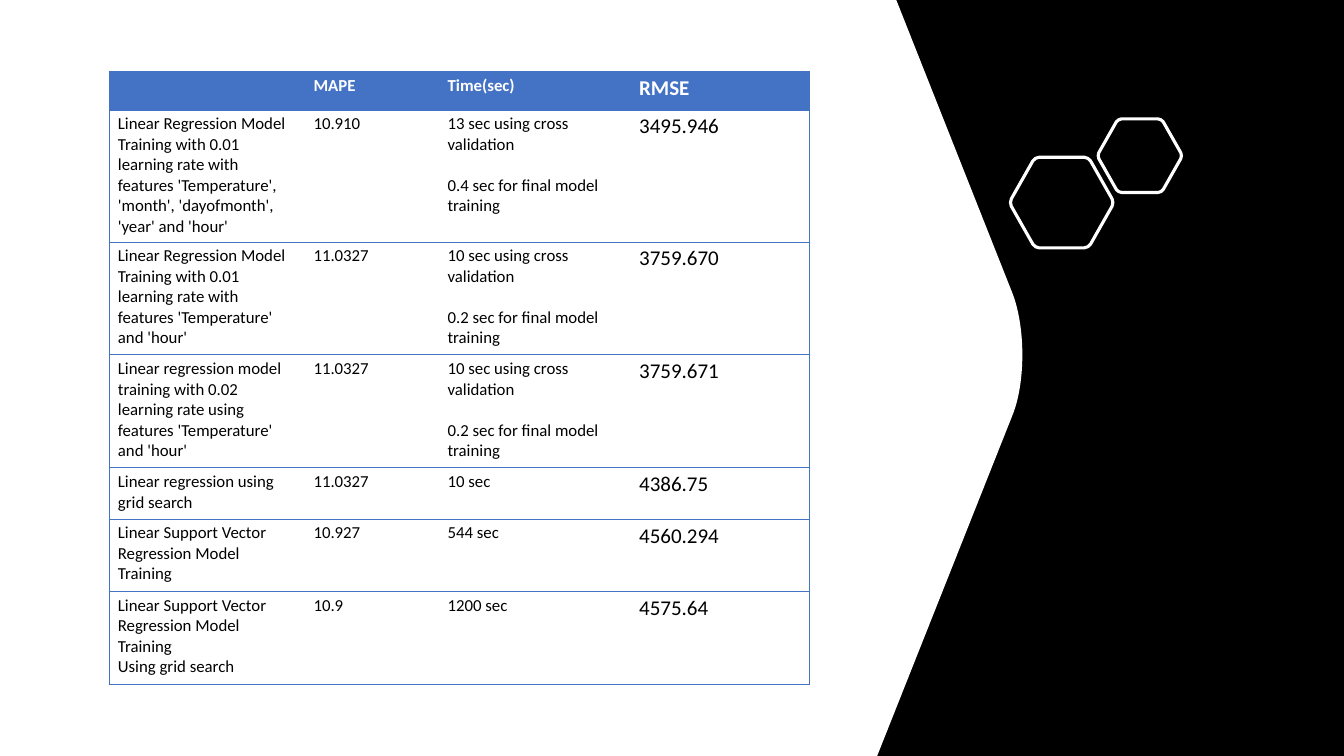
from lxml import etree
from pptx import Presentation
from pptx.dml.color import RGBColor
from pptx.enum.shapes import MSO_SHAPE
from pptx.oxml.ns import qn
from pptx.util import Inches, Pt

RECTANGLE = MSO_SHAPE.RECTANGLE
BLACK, WHITE, BLUE = "000000", "FFFFFF", "4472C4"


def color(hex_value):
    return RGBColor.from_string(hex_value)


def add_outline(shapes, segments):
    """Draw a closed outline; a segment is one end point, or two controls and an end."""
    points = [(Inches(x), Inches(y)) for segment in segments for x, y in segment]
    builder = shapes.build_freeform(*points[0])
    builder.add_line_segments(points[1:])
    shape = builder.convert_to_shape()
    shape.shadow.inherit = False
    lines = shape._element.iter(qn("a:lnTo"))
    lines = list(lines)
    position = 0
    for segment in segments[1:]:
        if len(segment) == 3:
            bezier = etree.Element(qn("a:cubicBezTo"))
            lines[position].addprevious(bezier)
            for line in lines[position:position + 3]:
                bezier.append(line[0])
                line.getparent().remove(line)
        position += len(segment)
    return shape


presentation = Presentation()
presentation.slide_width = Inches(13.33)
presentation.slide_height = Inches(7.5)
slide = presentation.slides.add_slide(presentation.slide_layouts[6])

# Black backdrop with a white panel that bulges to the right
backdrop = slide.shapes.add_shape(RECTANGLE, 0, 0, Inches(13.33), Inches(7.5))
backdrop.shadow.inherit = False
backdrop.fill.solid()
backdrop.fill.fore_color.rgb = color(BLACK)
backdrop.line.fill.background()

panel = add_outline(slide.shapes, [
    [(0, 0)], [(8.89, 0)], [(10.05, 2.93)],
    [(10.11, 3.1), (10.14, 3.31), (10.14, 3.52)],
    [(10.14, 3.73), (10.11, 3.94), (10.05, 4.1)],
    [(8.7, 7.5)], [(0, 7.5)]])
panel.fill.solid()
panel.fill.fore_color.rgb = color(WHITE)
panel.line.fill.background()

# Two hexagon outlines with rounded corners, from corners in a unit box
corners = [(-0.01, 0.5), (0.24, 0), (0.76, 0), (1.01, 0.5), (0.76, 1), (0.24, 1)]
rounding = 0.08
hexagons = slide.shapes.add_group_shape()
for left, top, width, height in [(10.02, 1.56, 1.02, 0.9), (10.89, 1.18, 0.83, 0.73)]:
    segments = []
    for index, corner in enumerate(corners):
        before, after = corners[index - 1], corners[(index + 1) % len(corners)]
        steps = [(before, rounding), (before, rounding / 2),
                 (after, rounding / 2), (after, rounding)]
        points = []
        for (x, y), share in steps:
            unit_x = corner[0] + share * (x - corner[0])
            unit_y = corner[1] + share * (y - corner[1])
            points.append((left + unit_x * width, top + unit_y * height))
        segments += [points[:1], points[1:]]
    hexagon = add_outline(hexagons.shapes, segments)
    hexagon.fill.background()
    hexagon.line.color.rgb = color(WHITE)
    hexagon.line.width = Pt(2.25)

# Table of model results
rows = [
    ("", "MAPE", "Time(sec)", "RMSE"),
    ("Linear Regression Model Training with 0.01 learning rate with features "
     "'Temperature', 'month', 'dayofmonth', 'year' and 'hour'", "10.910",
     "13 sec using cross validation\n0.4 sec for final model training", "3495.946"),
    ("Linear Regression Model Training with 0.01 learning rate with features "
     "'Temperature' and 'hour'", "11.0327",
     "10 sec using cross validation\n0.2 sec for final model training", "3759.670"),
    ("Linear regression model training with 0.02 learning rate using features "
     "'Temperature' and 'hour'", "11.0327",
     "10 sec using cross validation\n0.2 sec for final model training", "3759.671"),
    ("Linear regression using grid search", "11.0327", "10 sec", "4386.75"),
    ("Linear Support Vector Regression Model Training", "10.927", "544 sec", "4560.294"),
    ("Linear Support Vector Regression Model Training\nUsing grid search",
     "10.9", "1200 sec", "4575.64"),
]
column_widths = [1.94, 1.33, 1.9, 1.78]
row_heights = [0.38, 1.31, 1.12, 1.12, 0.51, 0.72, 0.92]
time_column, last_column = 2, 3
margins = {"margin_left": Inches(0.09), "margin_right": Inches(0.09),
           "margin_top": Inches(0.04), "margin_bottom": Inches(0.04)}

table = slide.shapes.add_table(len(rows), len(column_widths), Inches(1.08), Inches(0.71),
                               Inches(sum(column_widths)), Inches(sum(row_heights))).table
table.horz_banding = False
for column, width in zip(table.columns, column_widths):
    column.width = Inches(width)
for row, height in zip(table.rows, row_heights):
    row.height = Inches(height)

for row_index, texts in enumerate(rows):
    is_header = row_index == 0
    for column_index, text in enumerate(texts):
        cell = table.cell(row_index, column_index)
        for name, value in margins.items():
            setattr(cell, name, value)
        if is_header:
            cell.fill.solid()
            cell.fill.fore_color.rgb = color(BLUE)
        else:
            cell.fill.background()

        cell.text = text
        font_format = {"name": "Calibri", "bold": is_header,
                       "size": Pt(15 if column_index == last_column else 12)}
        for paragraph_index, paragraph in enumerate(cell.text_frame.paragraphs):
            if paragraph_index > 0 and column_index == time_column:
                paragraph.space_before = Pt(14.65)
            for name, value in font_format.items():
                setattr(paragraph.font, name, value)
            paragraph.font.color.rgb = color(WHITE if is_header else BLACK)

        borders = {"a:lnL": column_index == 0, "a:lnR": column_index == last_column,
                   "a:lnT": True, "a:lnB": True}
        cell_properties = cell._tc.get_or_add_tcPr()
        for position, (tag, visible) in enumerate(borders.items()):
            border = etree.Element(qn(tag), w=str(Pt(0.5)))
            if visible:
                fill = etree.SubElement(border, qn("a:solidFill"))
                etree.SubElement(fill, qn("a:srgbClr"), val=BLUE)
            else:
                etree.SubElement(border, qn("a:noFill"))
            cell_properties.insert(position, border)

presentation.save("out.pptx")
